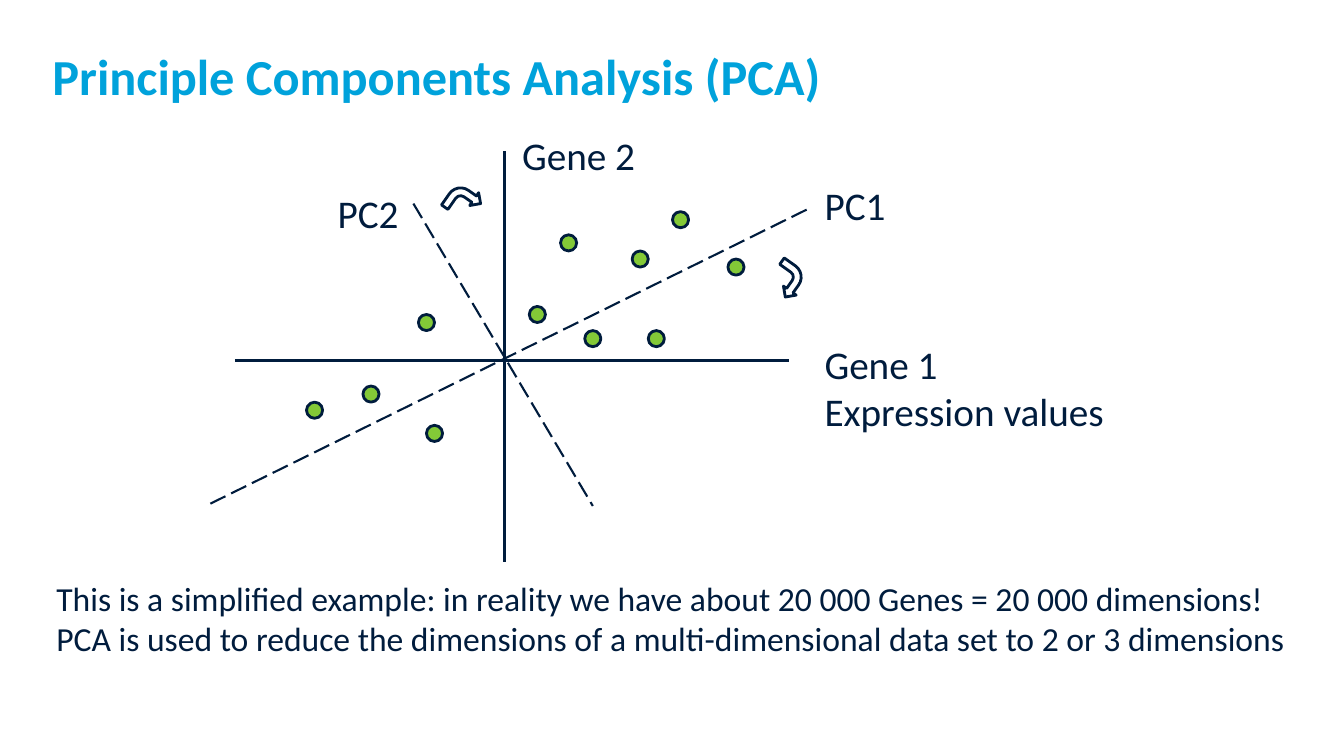
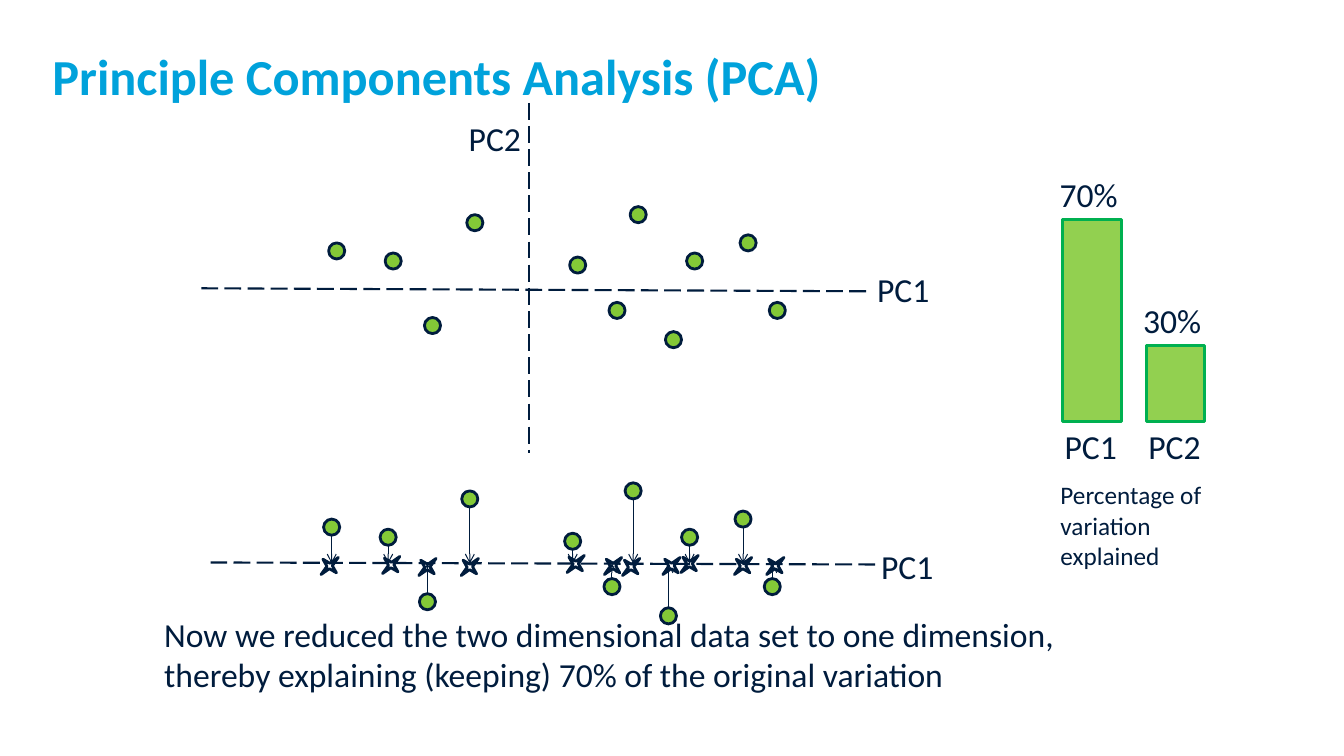
from lxml import etree
from pptx import Presentation, util as u
from pptx.dml.color import RGBColor
from pptx.enum import dml, shapes, text
from pptx.oxml.ns import qn

PX = 9144  # 100 px to the inch
NAVY = RGBColor(0x00, 0x1C, 0x3D)
BLUE = RGBColor(0x00, 0xA2, 0xDB)
GREEN = RGBColor(0x83, 0xC9, 0x37)
LIME = RGBColor(0x92, 0xD0, 0x50)
LEAF = RGBColor(0x00, 0xB0, 0x50)
WHITE = RGBColor(0xFF, 0xFF, 0xFF)
FONT = "Calibri"
DOT = 16
KIND = shapes.MSO_SHAPE


def px(*sizes):
    return [u.Emu(size * PX) for size in sizes]


def write(frame, words, size=24, color=NAVY, bold=False, wrap=False, inset=True):
    """Fill a text frame, one paragraph for each line of words."""
    frame.word_wrap = wrap
    if inset:
        frame.auto_size = text.MSO_AUTO_SIZE.SHAPE_TO_FIT_TEXT
    else:
        frame.margin_left = frame.margin_right = 0
        frame.margin_top = frame.margin_bottom = 0
    frame.text = words
    for para in frame.paragraphs:
        font = para.font
        font.name, font.size, font.bold = FONT, u.Pt(size), bold
        font.color.rgb = color


class Deck:
    def __init__(self):
        self.file = Presentation()
        self.file.slide_width, self.file.slide_height = px(1333, 750)
        self.slide = None

    def page(self, title):
        self.slide = self.file.slides.add_slide(self.file.slide_layouts[6])
        self.label(title, 52, 45, 1214, 83, size=36, color=BLUE,
                   bold=True, wrap=True, inset=False)

    def label(self, words, x, y, w, h, **style):
        box = self.slide.shapes.add_textbox(*px(x, y, w, h))
        write(box.text_frame, words, **style)

    def line(self, x1, y1, x2, y2, width=1.5, dash=False, arrow=False):
        link = self.slide.shapes.add_connector(
            shapes.MSO_CONNECTOR.STRAIGHT, *px(x1, y1, x2, y2))
        link.line.color.rgb = NAVY
        link.line.width = u.Pt(width)
        if dash:
            link.line.dash_style = dml.MSO_LINE.LONG_DASH
        if arrow:
            pen = link.line._get_or_add_ln()
            etree.SubElement(pen, qn("a:tailEnd"), type="arrow")
        etree.SubElement(link._element.spPr, qn("a:effectLst"))

    def shape(self, kind, x, y, w, h, fill=None, edge=NAVY, turn=0):
        item = self.slide.shapes.add_shape(kind, *px(x, y, w, h))
        item.shadow.inherit = False
        item.rotation = turn
        if fill is None:
            item.fill.background()
        else:
            item.fill.solid()
            item.fill.fore_color.rgb = fill
        item.line.color.rgb = edge
        item.line.width = u.Pt(2)

    def dot(self, x, y):
        self.shape(KIND.OVAL, x, y, DOT, DOT, fill=GREEN)


TITLE = "Principle Components Analysis (PCA)"

# Gene space: dot corners
GENES = [(556, 233), (525, 304), (722, 257), (580, 328), (415, 312), (423, 422),
         (627, 249), (643, 328), (304, 399), (667, 210), (360, 383)]

# Component space: dot corner, then corner of its star on the PC1 line
SCORES = [(625, 205, 614, 553), (565, 255, 559, 550), (763, 300, 757, 552),
          (604, 300, 596, 552), (463, 213, 454, 553), (421, 315, 412, 553),
          (681, 251, 672, 550), (660, 329, 654, 552), (326, 241, 315, 552),
          (734, 233, 725, 552), (382, 251, 376, 551)]
SHIFT = (-5, 274)  # from the upper plot to the lower one
BASE = 559         # height of the lower PC1 line

# Bars: name, share, left, height
BARS = [("PC1", "70%", 1054, 200), ("PC2", "30%", 1137, 75)]
FLOOR = 418


def rotate(deck):
    """Gene axes with the component axes across them."""
    deck.page(TITLE)

    # Axes
    deck.line(500, 150, 500, 558, width=2.25)
    deck.line(233, 358, 783, 358, width=2.25)
    deck.line(800, 208, 208, 500, dash=True)
    deck.line(410, 202, 588, 502, dash=True)

    # Labels
    deck.label("Gene 1\nExpression values", 808, 333, 300, 104, size=28)
    deck.label("Gene 2", 508, 125, 133, 57, size=28)
    deck.label("PC2", 325, 183, 81, 57, size=28)
    deck.label("PC1", 808, 175, 81, 57, size=28)
    deck.label("This is a simplified example: in reality we have about "
               "20 000 Genes = 20 000 dimensions!\n"
               "PCA is used to reduce the dimensions of a multi-dimensional "
               "data set to 2 or 3 dimensions", 46, 568, 1249, 91)

    # Data and turning arrows
    for x, y in GENES:
        deck.dot(x, y)
    for x, y, turn in [(766, 262, 125.4), (444, 184, 34.9)]:
        deck.shape(KIND.BENT_ARROW, x, y, 31, 31, fill=WHITE, turn=turn)


def reduce(deck):
    """Scores, their projection on PC1 and the explained shares."""
    deck.page(TITLE)

    # Axes
    deck.line(859, 289, 199, 286, dash=True)
    deck.line(525, 102, 525, 449, dash=True)
    deck.line(868, 560, 209, 558, dash=True)
    for name, x, y in [("PC2", 455, 112), ("PC1", 860, 262), ("PC1", 864, 537)]:
        deck.label(name, x, y, 72, 50)

    # Scores and their projection
    for x, y, left, top in SCORES:
        deck.dot(x, y)
        low_x, low_y = x + SHIFT[0], y + SHIFT[1]
        deck.dot(low_x, low_y)
        mid = low_x + DOT // 2
        start = low_y + DOT if low_y < BASE else low_y
        deck.line(mid, start, mid, BASE, width=0.75, arrow=True)
        deck.shape(KIND.STAR_4_POINT, left, top, 24, 19, turn=315.3)

    # Explained variation
    for name, share, x, high in BARS:
        deck.shape(KIND.RECTANGLE, x, FLOOR - high, 58, high, fill=LIME, edge=LEAF)
        deck.label(name, x - 8, FLOOR, 72, 50)
        deck.label(share, x - 13, FLOOR - high - 50, 78, 50)
    deck.label("Percentage of variation explained", 1042, 471, 183, 101,
               size=18, wrap=True)

    # Conclusion
    deck.label("Now we reduced the two dimensional data set to one dimension,\n"
               "thereby explaining (keeping) 70% of the original variation",
               153, 604, 1092, 91, wrap=True)


def main():
    deck = Deck()
    rotate(deck)
    reduce(deck)
    deck.file.save("out.pptx")


if __name__ == "__main__":
    main()
